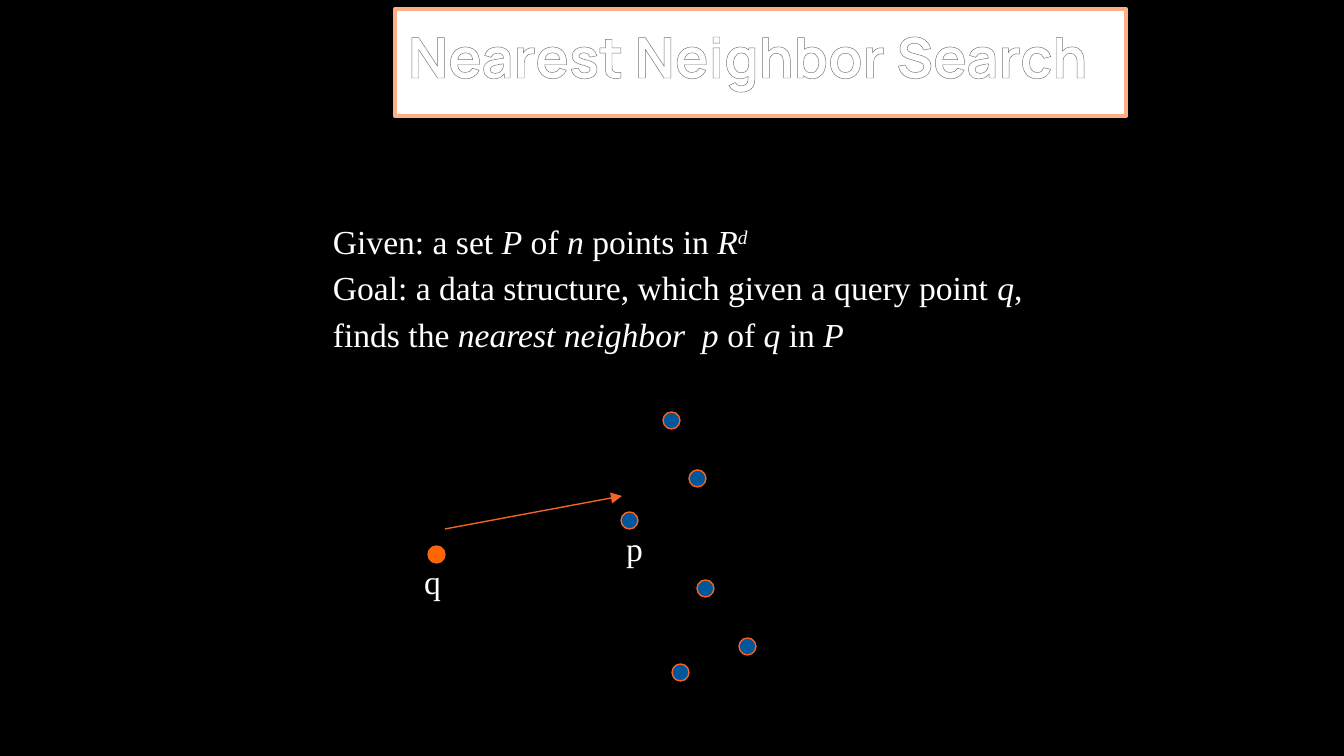
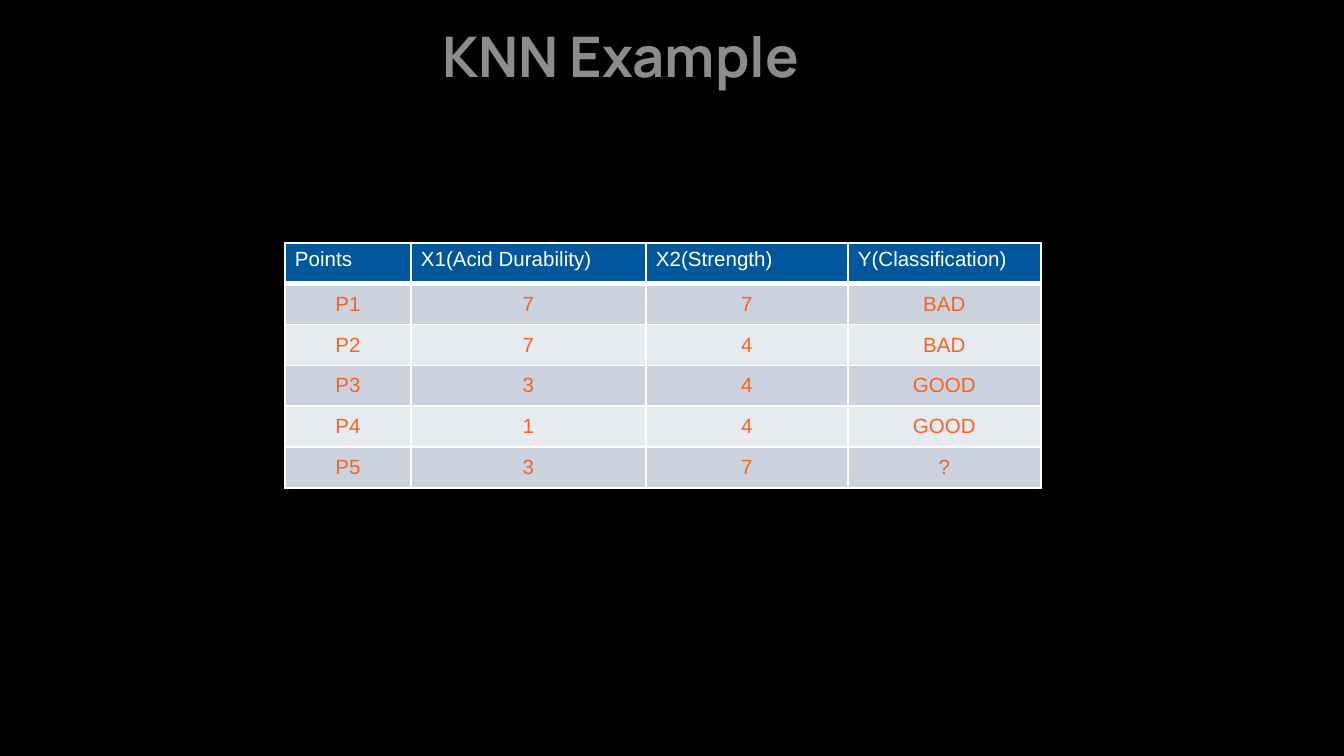
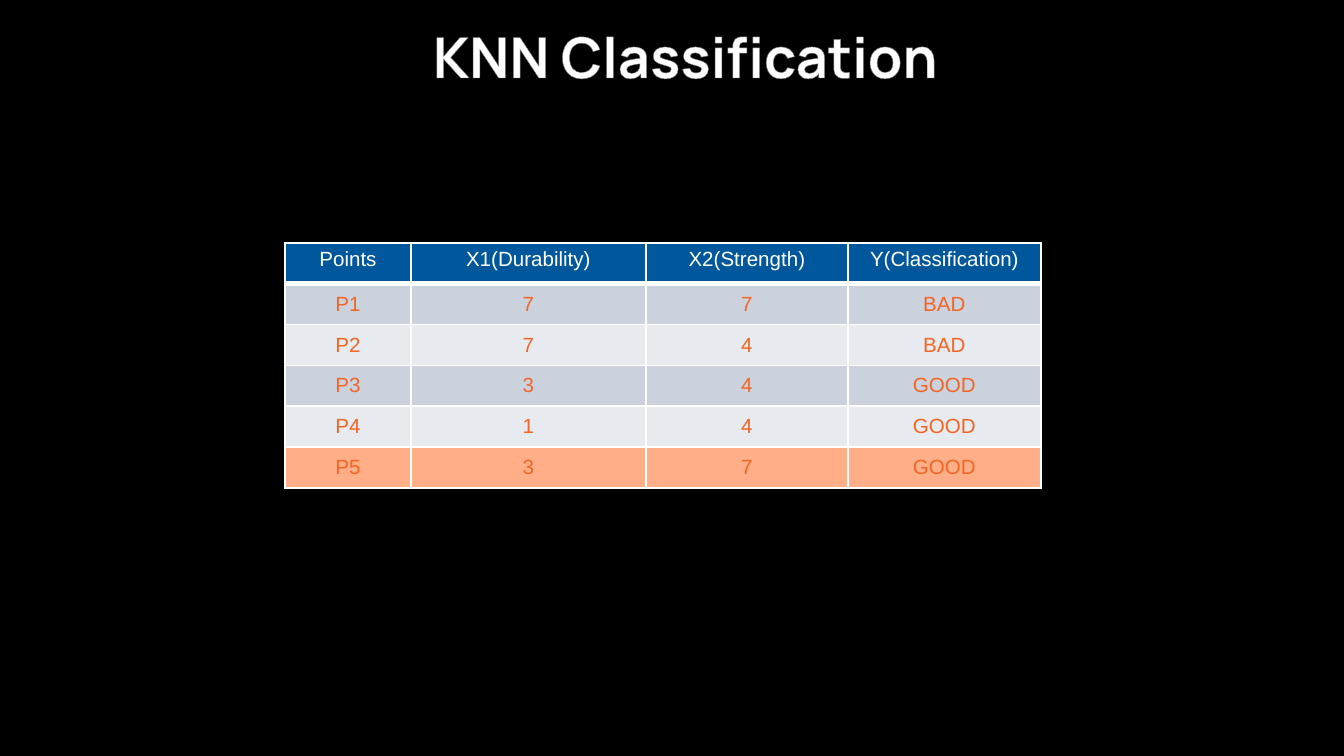
from lxml.etree import SubElement
from pptx import Presentation
from pptx.dml.color import RGBColor
from pptx.enum.shapes import MSO_CONNECTOR, MSO_SHAPE
from pptx.enum.text import MSO_ANCHOR, MSO_AUTO_SIZE, PP_ALIGN
from pptx.oxml import parse_xml
from pptx.oxml.ns import nsdecls, qn
from pptx.util import Pt

EMU_PER_PX = 914400 / 134.4
COLORS = {
    "background": "000000", "white": "FFFFFF", "orange": "F46524",
    "query": "FF6600", "blue": "01579B", "peach": "FFAE88",
    "odd_row": "CCD1DE", "even_row": "E7EAEF",
    "title_outline": "757575", "blue_outline": "00579C",
}


def px(*lengths):
    return [round(length * EMU_PER_PX) for length in lengths]


def style_run(run, font_name, size, color, italic=None, bold=None):
    run.font.name = font_name
    run.font.size = Pt(size)
    run.font.italic = italic
    run.font.bold = bold
    run.font.color.rgb = RGBColor.from_string(COLORS[color])


presentation = Presentation()
presentation.slide_width, presentation.slide_height = px(1344, 756)
title_only = presentation.slide_layouts[5]

titles = [
    ("Nearest Neighbor Search", 395, "title_outline", 1, 100),
    ("KNN Example", 429, "blue_outline", 0.07, 55),
    ("KNN Classification", 420, "title_outline", 1, 100),
]
slides = []
for text, left, outline, outline_width, opacity in titles:
    slide = presentation.slides.add_slide(title_only)
    slide.background.fill.solid()
    slide.background.fill.fore_color.rgb = RGBColor.from_string(COLORS["background"])
    title = slide.shapes.title
    title.left, title.top, title.width, title.height = px(left, 9, 1126 - left, 107)
    frame = title.text_frame
    frame.text = text
    frame.word_wrap = True
    frame.auto_size = MSO_AUTO_SIZE.NONE
    frame.vertical_anchor = MSO_ANCHOR.TOP
    frame.margin_left, frame.margin_top, frame.margin_right, frame.margin_bottom = px(13, 13, 13, 13)
    paragraph = frame.paragraphs[0]
    paragraph.alignment = PP_ALIGN.LEFT
    run = paragraph.runs[0]
    style_run(run, "Manrope", 30, "white", bold=True)
    properties = run._r.get_or_add_rPr()
    properties.insert(0, parse_xml(
        f'<a:ln {nsdecls("a")} w="{Pt(outline_width)}"><a:solidFill>'
        f'<a:srgbClr val="{COLORS[outline]}"/></a:solidFill><a:prstDash val="solid"/></a:ln>'))
    if opacity < 100:
        for color in properties.findall(".//" + qn("a:srgbClr")):
            SubElement(color, qn("a:alpha")).set("val", str(opacity * 1000))
    slides.append(slide)

search_slide, example_slide, classification_slide = slides

search_title = search_slide.shapes.title
search_title.fill.solid()
search_title.fill.fore_color.rgb = RGBColor.from_string(COLORS["white"])
search_title.line.color.rgb = RGBColor.from_string(COLORS["peach"])
search_title.line.width = Pt(2.25)

definition = search_slide.shapes.add_textbox(*px(253, 202, 848, 243))
frame = definition.text_frame
frame.word_wrap = True
frame.margin_left, frame.margin_top, frame.margin_right, frame.margin_bottom = px(13, 13, 13, 13)
statements = [
    ["Given: a set ", "P", " of ", "n", " points in ", "R", "d"],
    ["Goal: a data structure, which given a query point ", "q", ", finds the ",
     "nearest neighbor  p", " of ", "q", " in ", "P"],
]
italic_parts = {"P", "n", "R", "d", "q", "nearest neighbor  p"}
for index, parts in enumerate(statements):
    paragraph = frame.add_paragraph() if index else frame.paragraphs[0]
    paragraph.line_spacing = 1.15
    paragraph._p.get_or_add_pPr().set("marL", str(px(67)[0]))
    for part in parts:
        run = paragraph.add_run()
        run.text = part
        style_run(run, "Times New Roman", 18, "white", italic=part in italic_parts)
        if part == "d":
            run._r.get_or_add_rPr().set("baseline", "30000")

points = [
    (428, 546, "query"), (689, 470, "blue"), (621, 512, "blue"), (663, 412, "blue"),
    (697, 580, "blue"), (739, 638, "blue"), (672, 664, "blue"),
]
for left, top, color in points:
    point = search_slide.shapes.add_shape(MSO_SHAPE.FLOWCHART_CONNECTOR, *px(left, top, 17, 17))
    point.shadow.inherit = False
    point.fill.solid()
    point.fill.fore_color.rgb = RGBColor.from_string(COLORS[color])
    point.line.color.rgb = RGBColor.from_string(COLORS["orange"])
    point.line.width = Pt(0.75)

for name, left, top in [("q", 411, 554), ("p", 613, 521)]:
    label = search_slide.shapes.add_textbox(*px(left, top, 44, 54))
    label.text_frame.text = name
    label.text_frame.word_wrap = False
    label.text_frame.auto_size = MSO_AUTO_SIZE.SHAPE_TO_FIT_TEXT
    style_run(label.text_frame.paragraphs[0].runs[0], "Times New Roman", 18, "white")

arrow = search_slide.shapes.add_connector(MSO_CONNECTOR.STRAIGHT, *px(445, 529, 622, 496))
arrow.line.color.rgb = RGBColor.from_string(COLORS["orange"])
arrow.line.width = Pt(0.75)
SubElement(arrow.line._get_or_add_ln(), qn("a:tailEnd")).set("type", "triangle")
SubElement(arrow._element.spPr, qn("a:effectLst"))

samples = [
    ["P1", "7", "7", "BAD"],
    ["P2", "7", "4", "BAD"],
    ["P3", "3", "4", "GOOD"],
    ["P4", "1", "4", "GOOD"],
]
tables = [
    (example_slide, "X1(Acid Durability)", "?", PP_ALIGN.LEFT, "odd_row"),
    (classification_slide, "X1(Durability)", "GOOD", PP_ALIGN.CENTER, "peach"),
]
column_widths = px(126, 235, 202, 193)
for slide, durability, answer, header_alignment, answer_fill in tables:
    header = ["Points", durability, "X2(Strength)", "Y(Classification)"]
    rows = [header, *samples, ["P5", "3", "7", answer]]
    fills = ["blue", "odd_row", "even_row", "odd_row", "even_row", answer_fill]
    table = slide.shapes.add_table(len(rows), len(header), *px(285, 243, 756, 245)).table
    for column, width in zip(table.columns, column_widths):
        column.width = width
    for row_index, (values, fill) in enumerate(zip(rows, fills)):
        is_header = row_index == 0
        for column_index, value in enumerate(values):
            cell = table.cell(row_index, column_index)
            cell.text = value
            cell.margin_left, cell.margin_top, cell.margin_right, cell.margin_bottom = px(10, 5, 10, 5)
            cell.vertical_anchor = MSO_ANCHOR.TOP if is_header else MSO_ANCHOR.MIDDLE
            paragraph = cell.text_frame.paragraphs[0]
            paragraph.alignment = header_alignment if is_header else PP_ALIGN.CENTER
            style_run(paragraph.runs[0], "Arial", 11, "white" if is_header else "orange", bold=False)
            cell_properties = cell._tc.get_or_add_tcPr()
            for side in "LRTB":
                border_width = Pt(3 if is_header and side == "B" else 1)
                cell_properties.append(parse_xml(
                    f'<a:ln{side} {nsdecls("a")} w="{border_width}"><a:solidFill>'
                    f'<a:srgbClr val="{COLORS["white"]}"/></a:solidFill></a:ln{side}>'))
            cell.fill.solid()
            cell.fill.fore_color.rgb = RGBColor.from_string(COLORS[fill])

presentation.save("out.pptx")
